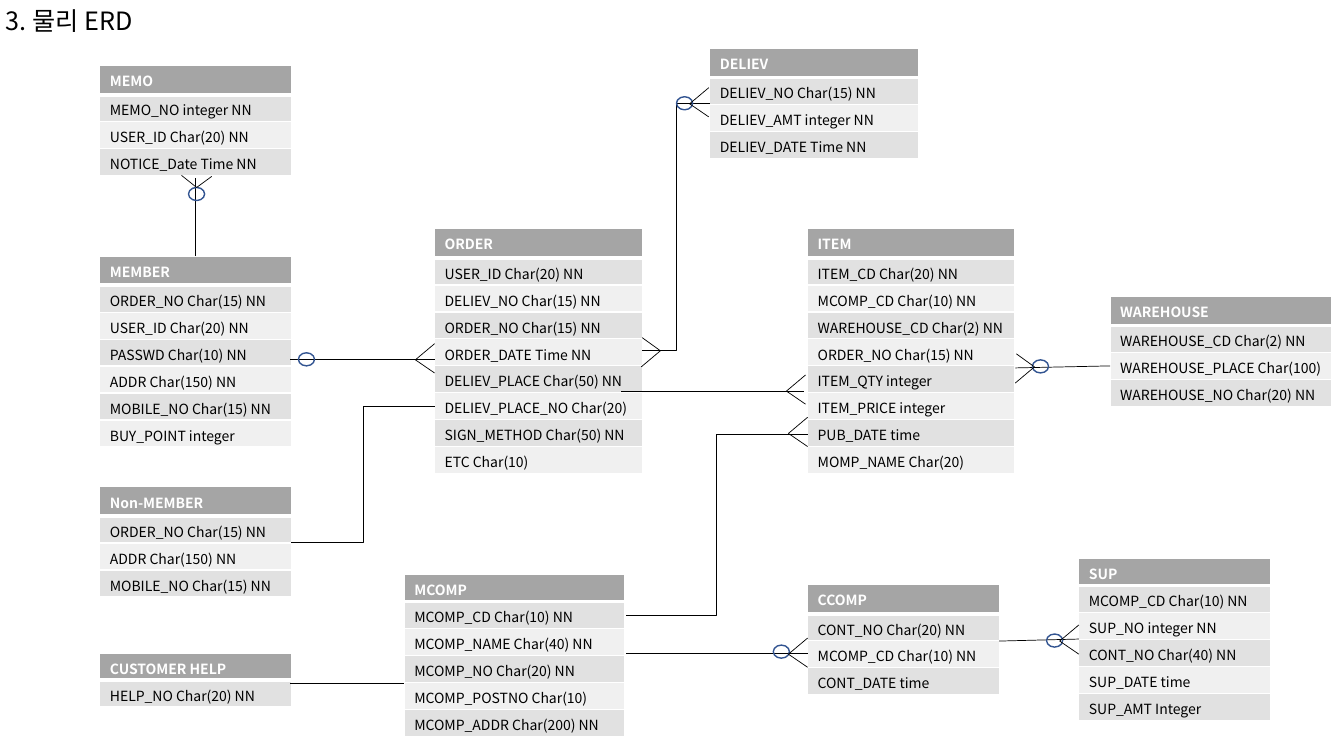
from dataclasses import dataclass
from enum import Enum

from lxml import etree
from pptx import Presentation
from pptx.dml.color import RGBColor
from pptx.enum.shapes import MSO_CONNECTOR, MSO_SHAPE
from pptx.enum.text import MSO_ANCHOR
from pptx.oxml.ns import qn
from pptx.util import Pt

STRAIGHT = MSO_CONNECTOR.STRAIGHT
ELBOW = MSO_CONNECTOR.ELBOW
OVAL = MSO_SHAPE.OVAL
MIDDLE = MSO_ANCHOR.MIDDLE

EMU_PER_PX = 9144  # 100 px to the inch
ROW_HEIGHT = 23
FRAME_PER_ROW = 27
RING_WIDTH, RING_HEIGHT = 16, 13


@dataclass(frozen=True)
class Theme:
    font: str = "Noto Sans CJK KR"
    title_size: float = 18
    table_size: float = 10
    ink: str = "000000"
    paper: str = "FFFFFF"
    header: str = "A5A5A5"
    bands: tuple[str, str] = ("E1E1E1", "F0F0F0")
    ring: str = "325491"
    line_width: float = 0.5
    ring_width: float = 1
    border_width: float = 1
    header_rule_width: float = 3


THEME = Theme()


@dataclass(frozen=True)
class Entity:
    name: str
    left: int
    top: int
    width: int
    columns: tuple[str, ...]
    header_height: int = 29


@dataclass(frozen=True)
class Relation:
    start: tuple[int, int]
    end: tuple[int, int]
    kind: MSO_CONNECTOR = STRAIGHT


class Opening(Enum):
    """Offsets from the apex of a crow's foot to its two tips."""
    RIGHT = ((19, -16), (19, 13))
    LEFT = ((-18, -13), (-19, 16))
    UP = ((15, -11), (-15, -12))


@dataclass(frozen=True)
class CrowFoot:
    x: int
    y: int
    opening: Opening


ENTITIES = (
    Entity("ORDER", 431, 227, 206, (
        "USER_ID Char(20) NN", "DELIEV_NO Char(15) NN", "ORDER_NO Char(15) NN",
        "ORDER_DATE Time NN", "DELIEV_PLACE Char(50) NN", "DELIEV_PLACE_NO Char(20)",
        "SIGN_METHOD Char(50) NN", "ETC Char(10)")),
    Entity("ITEM", 801, 227, 205, (
        "ITEM_CD Char(20) NN", "MCOMP_CD Char(10) NN", "WAREHOUSE_CD Char(2) NN",
        "ORDER_NO Char(15) NN", "ITEM_QTY integer", "ITEM_PRICE integer",
        "PUB_DATE time", "MOMP_NAME Char(20)")),
    Entity("DELIEV", 704, 48, 207, (
        "DELIEV_NO Char(15) NN", "DELIEV_AMT integer NN", "DELIEV_DATE Time NN")),
    Entity("WAREHOUSE", 1101, 294, 220, (
        "WAREHOUSE_CD Char(2) NN", "WAREHOUSE_PLACE Char(100)",
        "WAREHOUSE_NO Char(20) NN")),
    Entity("MEMO", 99, 65, 190, (
        "MEMO_NO integer NN", "USER_ID Char(20) NN", "NOTICE_Date Time NN")),
    Entity("MEMBER", 99, 254, 190, (
        "ORDER_NO Char(15) NN", "USER_ID Char(20) NN", "PASSWD Char(10) NN",
        "ADDR Char(150) NN", "MOBILE_NO Char(15) NN", "BUY_POINT integer")),
    Entity("Non-MEMBER", 99, 483, 190, (
        "ORDER_NO Char(15) NN", "ADDR Char(150) NN", "MOBILE_NO Char(15) NN")),
    Entity("CCOMP", 801, 580, 190, (
        "CONT_NO Char(20) NN", "MCOMP_CD Char(10) NN", "CONT_DATE time")),
    Entity("CUSTOMER HELP", 99, 648, 190, ("HELP_NO Char(20) NN",), 21),
    Entity("MCOMP", 401, 570, 219, (
        "MCOMP_CD Char(10) NN", "MCOMP_NAME Char(40) NN", "MCOMP_NO Char(20) NN",
        "MCOMP_POSTNO Char(10)", "MCOMP_ADDR Char(200) NN"), 21),
    Entity("SUP", 1070, 554, 190, (
        "MCOMP_CD Char(10) NN", "SUP_NO integer NN", "CONT_NO Char(40) NN",
        "SUP_DATE time", "SUP_AMT Integer"), 21),
)

RELATIONS = (
    Relation((194, 254), (194, 177)),
    Relation((288, 357), (431, 357)),
    Relation((637, 348), (704, 103), ELBOW),
    Relation((616, 388), (797, 388)),
    Relation((1007, 365), (1101, 363)),
    Relation((288, 678), (401, 678)),
    Relation((621, 648), (801, 648)),
    Relation((991, 636), (1070, 634)),
    Relation((431, 403), (289, 538), ELBOW),
    Relation((801, 431), (621, 611), ELBOW),
)

RING_CORNERS = ((187, 186), (296, 350), (671, 96), (1024, 357), (767, 640), (1038, 629))

CROW_FEET = (
    CrowFoot(195, 186, Opening.UP),
    CrowFoot(412, 357, Opening.RIGHT),
    CrowFoot(780, 388, Opening.RIGHT),
    CrowFoot(782, 649, Opening.RIGHT),
    CrowFoot(782, 430, Opening.RIGHT),
    CrowFoot(1051, 636, Opening.RIGHT),
    CrowFoot(684, 103, Opening.RIGHT),
    CrowFoot(655, 348, Opening.LEFT),
    CrowFoot(1026, 364, Opening.LEFT),
)


def px(*lengths: int) -> list[int]:
    return [length * EMU_PER_PX for length in lengths]


def style_paragraph(paragraph, size: float, color: str, bold: bool = False) -> None:
    font = paragraph.font
    font.name, font.size, font.bold = THEME.font, Pt(size), bold
    font.color.rgb = RGBColor.from_string(color)
    defaults = paragraph._p.pPr.find(qn("a:defRPr"))
    etree.SubElement(defaults, qn("a:ea"), typeface=THEME.font)


def draw_title(slide, title: str) -> None:
    frame = slide.shapes.add_textbox(*px(-4, -4, 167, 52)).text_frame
    frame.vertical_anchor = MIDDLE
    frame.text = title
    frame.paragraphs[0].line_spacing = 0.9
    style_paragraph(frame.paragraphs[0], THEME.title_size, THEME.ink)


def set_borders(cell, bottom_width: float) -> None:
    properties = cell._tc.get_or_add_tcPr()
    for index, side in enumerate(("L", "R", "T", "B")):
        width = bottom_width if side == "B" else THEME.border_width
        line = etree.Element(qn(f"a:ln{side}"), w=str(Pt(width)))
        fill = etree.SubElement(line, qn("a:solidFill"))
        etree.SubElement(fill, qn("a:srgbClr"), val=THEME.paper)
        properties.insert(index, line)


def draw_entity(slide, entity: Entity) -> None:
    texts = (entity.name, *entity.columns)
    height = FRAME_PER_ROW * len(texts)
    frame = slide.shapes.add_table(
        len(texts), 1, *px(entity.left, entity.top, entity.width, height))
    for index, text in enumerate(texts):
        is_header = index == 0
        row = frame.table.rows[index]
        row.height = px(entity.header_height if is_header else ROW_HEIGHT)[0]
        cell = row.cells[0]
        cell.text = text
        style_paragraph(cell.text_frame.paragraphs[0], THEME.table_size,
                        THEME.paper if is_header else THEME.ink, is_header)
        cell.fill.solid()
        cell.fill.fore_color.rgb = RGBColor.from_string(
            THEME.header if is_header else THEME.bands[(index - 1) % 2])
        set_borders(cell, THEME.header_rule_width if is_header else THEME.border_width)
    frame.height = px(height)[0]


def draw_relation(slide, relation: Relation) -> None:
    connector = slide.shapes.add_connector(
        relation.kind, *px(*relation.start, *relation.end))
    connector.line.color.rgb = RGBColor.from_string(THEME.ink)
    connector.line.width = Pt(THEME.line_width)
    etree.SubElement(connector._element.spPr, qn("a:effectLst"))


def draw_ring(slide, left: int, top: int) -> None:
    ring = slide.shapes.add_shape(OVAL, *px(left, top, RING_WIDTH, RING_HEIGHT))
    ring.shadow.inherit = False
    ring.fill.background()
    ring.line.color.rgb = RGBColor.from_string(THEME.ring)
    ring.line.width = Pt(THEME.ring_width)


def draw_crow_foot(slide, foot: CrowFoot) -> None:
    for dx, dy in foot.opening.value:
        draw_relation(slide, Relation((foot.x, foot.y), (foot.x + dx, foot.y + dy)))


def main() -> None:
    deck = Presentation()
    deck.slide_width, deck.slide_height = px(1333, 750)
    slide = deck.slides.add_slide(deck.slide_layouts[6])
    draw_title(slide, "3. 물리 ERD")
    for entity in ENTITIES:
        draw_entity(slide, entity)
    for relation in RELATIONS:
        draw_relation(slide, relation)
    for left, top in RING_CORNERS:
        draw_ring(slide, left, top)
    for foot in CROW_FEET:
        draw_crow_foot(slide, foot)
    deck.save("out.pptx")


if __name__ == "__main__":
    main()
